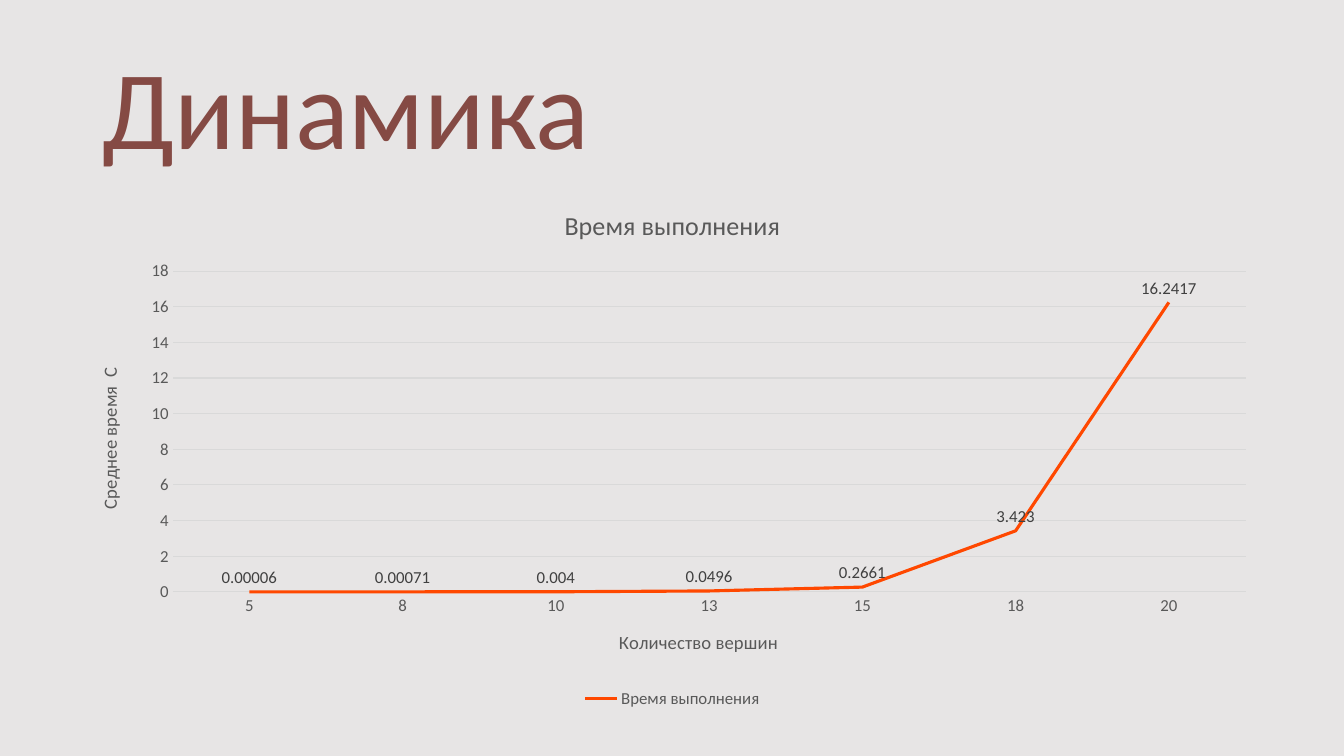
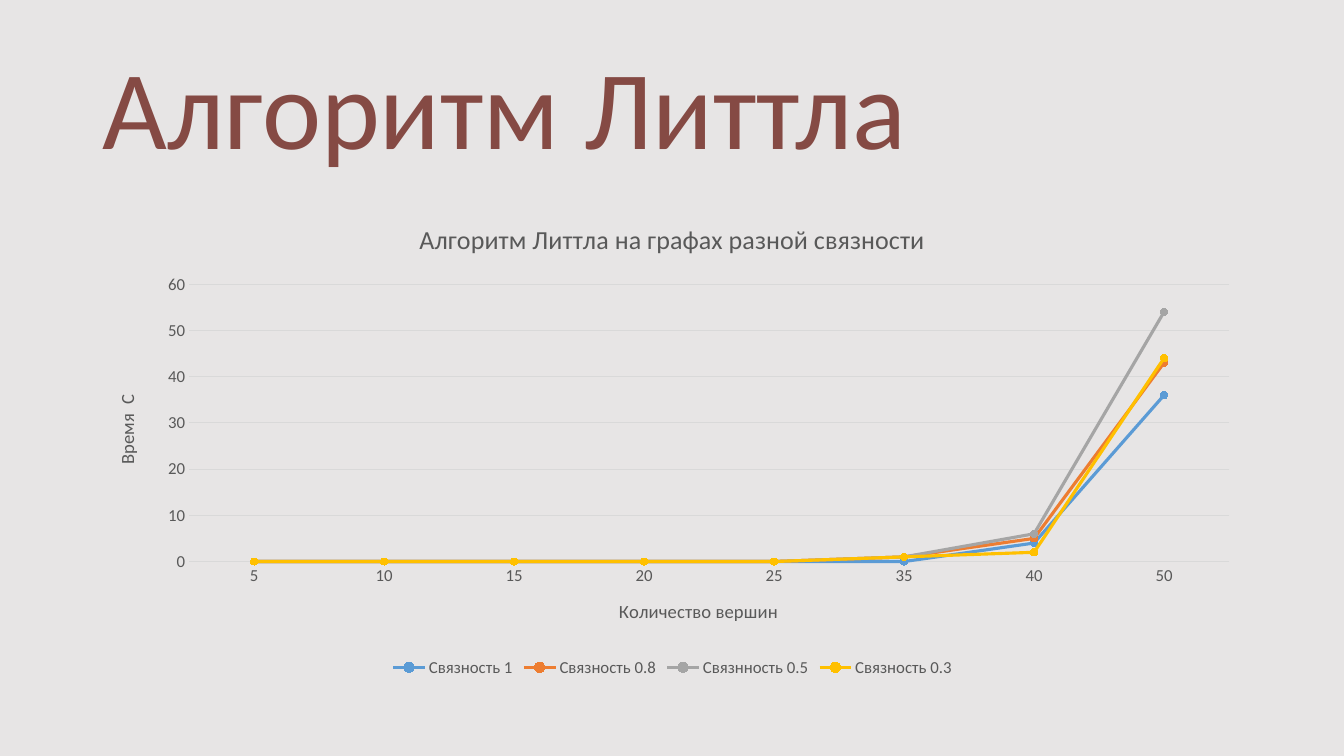
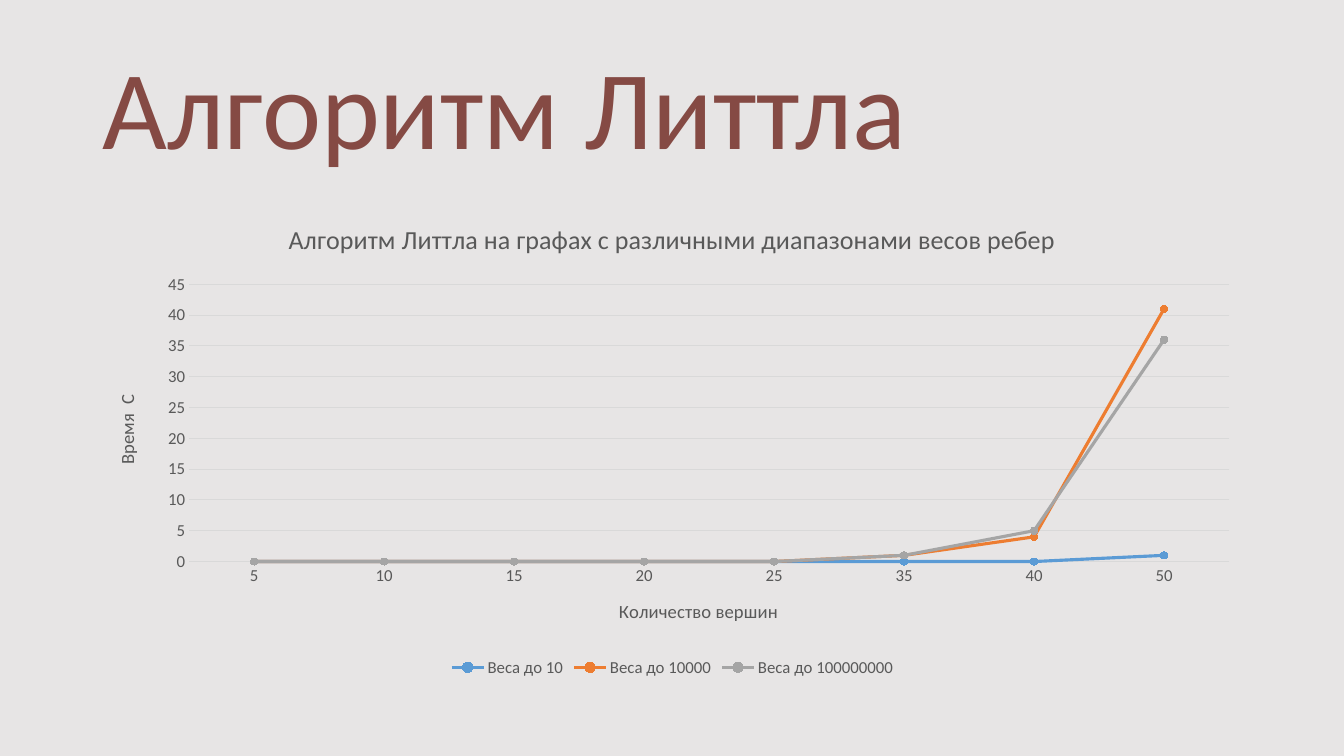
from pptx import Presentation
from pptx.chart.data import CategoryChartData
from pptx.dml.color import RGBColor
from pptx.enum import chart as kinds, text
from pptx.util import Inches, Pt

FONT = "Calibri"
BACKGROUND, HEADING, GREY, LABEL, GRID = "E7E5E5", "854A44", "595959", "404040", "D9D9D9"
BLUE, ORANGE, SILVER, GOLD, RED = "5B9BD5", "ED7D31", "A5A5A5", "FFC000", "FF4800"

TITLE_AREA = (0.92, 0.4, 11.5, 1.45)
LITTLE_AREA = (0.92, 2, 11.5, 4.76)
LITTLE_SIZES = ("5", "10", "15", "20", "25", "35", "40", "50")

SLIDES = [
    {
        "title": "Динамика",
        "area": (0.75, 1.85, 11.84, 5.22),
        "chart_title": "Время выполнения",
        "value_title": "Среднее время  C",
        "sizes": ("5", "8", "10", "13", "15", "18", "20"),
        "series": [
            ("Время выполнения", RED, (0.00006, 0.00071, 0.004, 0.0496, 0.2661, 3.423, 16.2417)),
        ],
        "markers": False,
    },
    {
        "title": "Алгоритм Литтла",
        "area": LITTLE_AREA,
        "chart_title": "Алгоритм Литтла на графах разной связности",
        "value_title": "Время  С",
        "sizes": LITTLE_SIZES,
        "series": [
            ("Связность 1", BLUE, (0, 0, 0, 0, 0, 0, 4, 36)),
            ("Связность 0.8", ORANGE, (0, 0, 0, 0, 0, 1, 5, 43)),
            ("Связнность 0.5", SILVER, (0, 0, 0, 0, 0, 1, 6, 54)),
            ("Связность 0.3", GOLD, (0, 0, 0, 0, 0, 1, 2, 44)),
        ],
        "markers": True,
    },
    {
        "title": "Алгоритм Литтла",
        "area": LITTLE_AREA,
        "chart_title": "Алгоритм Литтла на графах с различными диапазонами весов ребер",
        "value_title": "Время  С",
        "sizes": LITTLE_SIZES,
        "series": [
            ("Веса до 10", BLUE, (0, 0, 0, 0, 0, 0, 0, 1)),
            ("Веса до 10000", ORANGE, (0, 0, 0, 0, 0, 1, 4, 41)),
            ("Веса до 100000000", SILVER, (0, 0, 0, 0, 0, 1, 5, 36)),
        ],
        "markers": True,
    },
]


def rgb(value):
    return RGBColor.from_string(value)


def paint(fill, color):
    fill.solid()
    fill.fore_color.rgb = rgb(color)


def style_font(font, size, color=GREY):
    font.name, font.size, font.bold = FONT, Pt(size), False
    font.color.rgb = rgb(color)


def write(frame, content, size, color=GREY):
    frame.text = content
    para = frame.paragraphs[0]
    style_font(para.runs[0].font, size, color)
    return para


def style_line(line, color, width):
    line.color.rgb = rgb(color)
    line.width = Pt(width)


def style_axis(axis, title):
    write(axis.axis_title.text_frame, title, 13.3)
    style_font(axis.tick_labels.font, 12)
    axis.major_tick_mark = axis.minor_tick_mark = kinds.XL_TICK_MARK.NONE


def style_series(series, color, markers):
    series.smooth = False
    style_line(series.format.line, color, 2.25)
    if markers:
        series.marker.style = kinds.XL_MARKER_STYLE.CIRCLE
        series.marker.size = 5
        paint(series.marker.format.fill, color)
        style_line(series.marker.format.line, color, 0.75)
    else:
        series.marker.style = kinds.XL_MARKER_STYLE.NONE
        labels = series.data_labels
        labels.show_value = True
        labels.position = kinds.XL_LABEL_POSITION.ABOVE
        style_font(labels.font, 12, LABEL)


def add_line_chart(page, content):
    data = CategoryChartData()
    data.categories = content["sizes"]
    for name, _, values in content["series"]:
        data.add_series(name, values)
    kind = kinds.XL_CHART_TYPE.LINE_MARKERS if content["markers"] else kinds.XL_CHART_TYPE.LINE
    chart = page.shapes.add_chart(kind, *map(Inches, content["area"]), data).chart

    style_font(chart.font, 12)
    chart.has_title = True
    write(chart.chart_title.text_frame, content["chart_title"], 18.6)
    chart.chart_title.include_in_layout = False
    chart.has_legend = True
    chart.legend.position = kinds.XL_LEGEND_POSITION.BOTTOM
    chart.legend.include_in_layout = False
    style_font(chart.legend.font, 12)

    style_axis(chart.category_axis, "Количество вершин")
    style_line(chart.category_axis.format.line, GRID, 0.75)
    style_axis(chart.value_axis, content["value_title"])
    chart.value_axis.format.line.fill.background()
    chart.value_axis.has_major_gridlines = True
    style_line(chart.value_axis.major_gridlines.format.line, GRID, 0.75)

    chart.plots[0].vary_by_categories = False
    for series, (_, color, _) in zip(chart.plots[0].series, content["series"]):
        style_series(series, color, content["markers"])


def add_page(deck, content):
    page = deck.slides.add_slide(deck.slide_layouts.get_by_name("Title Only"))
    title = page.shapes.title
    title.left, title.top, title.width, title.height = map(Inches, TITLE_AREA)
    frame = title.text_frame
    para = write(frame, content["title"], 80, HEADING)
    para.alignment = text.PP_ALIGN.LEFT
    para.line_spacing = 0.9
    frame.vertical_anchor = text.MSO_ANCHOR.MIDDLE
    frame.auto_size = text.MSO_AUTO_SIZE.NONE
    add_line_chart(page, content)


def main():
    deck = Presentation()
    deck.slide_width, deck.slide_height = Inches(13.33), Inches(7.5)
    paint(deck.slide_master.background.fill, BACKGROUND)
    for content in SLIDES:
        add_page(deck, content)
    deck.save("out.pptx")


if __name__ == "__main__":
    main()
